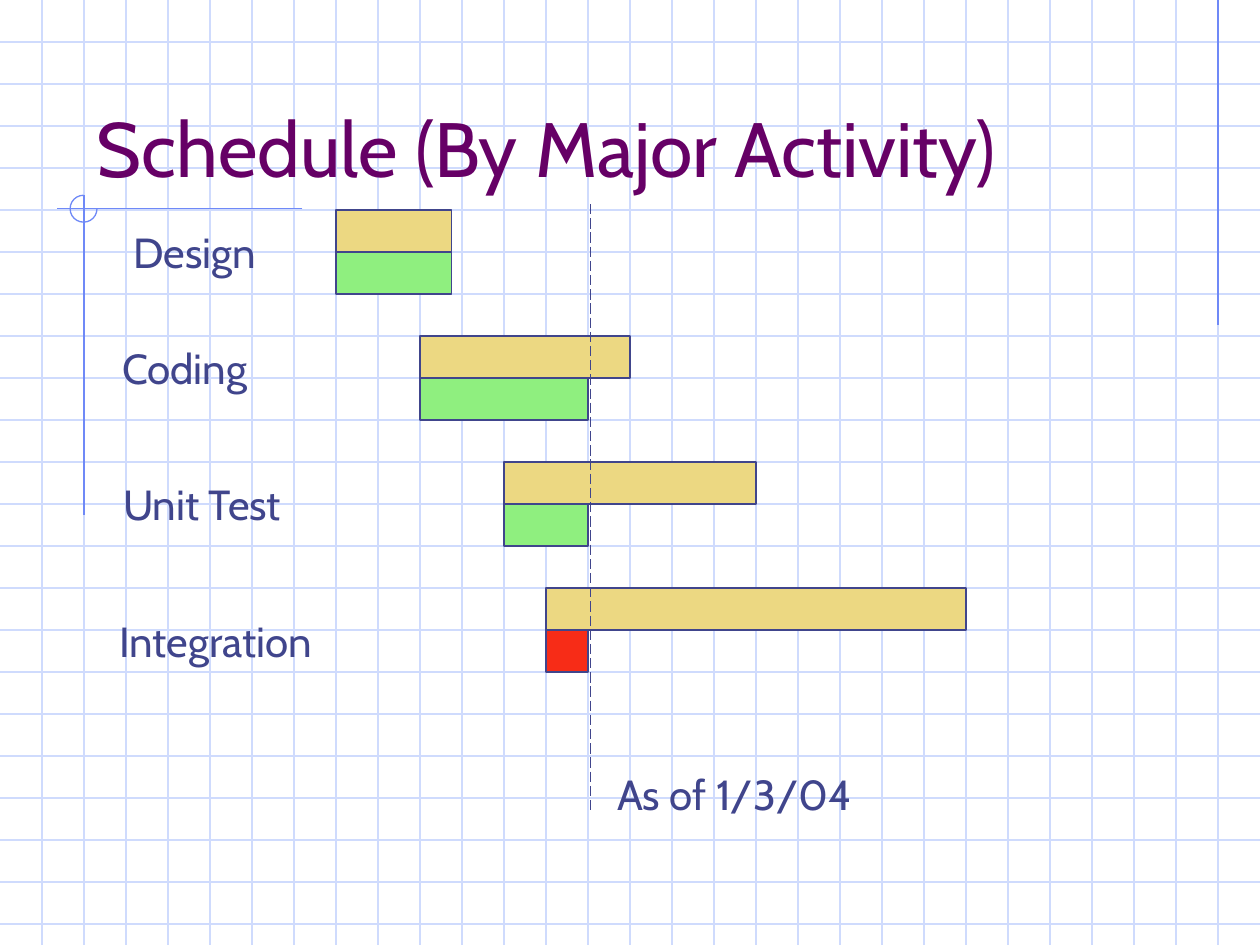
from dataclasses import dataclass

from lxml import etree
from pptx import Presentation
from pptx.dml.color import RGBColor
from pptx.enum.dml import MSO_LINE
from pptx.enum.shapes import MSO_CONNECTOR, MSO_SHAPE
from pptx.enum.text import MSO_ANCHOR, MSO_AUTO_SIZE, PP_ALIGN
from pptx.oxml.ns import qn
from pptx.util import Inches, Pt

ARC, RECT = MSO_SHAPE.ARC, MSO_SHAPE.RECTANGLE
STRAIGHT = MSO_CONNECTOR.STRAIGHT
DASH = MSO_LINE.LONG_DASH
FIT, FIXED = MSO_AUTO_SIZE.SHAPE_TO_FIT_TEXT, MSO_AUTO_SIZE.NONE
TOP, BOTTOM = MSO_ANCHOR.TOP, MSO_ANCHOR.BOTTOM


@dataclass(frozen=True)
class Theme:
    font: str = "Cabin"
    head: int = 44
    body: int = 24
    rule: float = 0.75
    title: str = "660066"
    ink: str = "40458C"
    grid: str = "CFDBFD"
    trim: str = "6F89F7"
    plan: str = "ECD882"
    good: str = "8FEF7F"
    late: str = "F72C17"


THEME = Theme()

# The slide is ruled in square cells; every length below counts cells.
COLS, ROWS = 30, 22.5
CELL = Inches(10) / COLS

TITLE = "Schedule (By Major Activity)"
TITLE_BOX = (2, 1, 25.5, 3.75)

# name, label place, first column and row, planned columns, done columns, done colour
TASKS = [
    ("Design", (2.88, 5.25, 3.87), 8, 5, 2.75, 2.75, THEME.good),
    ("Coding", (2.61, 8, 3.93), 10, 8, 5, 4, THEME.good),
    ("Unit Test", (2.64, 11.25, 4.77), 12, 11, 6, 2, THEME.good),
    ("Integration", (2.55, 14.5, 5.91), 13, 14, 10, 1, THEME.late),
]
LABEL_ROWS = 1.5

TODAY = "As of 1/3/04"
TODAY_BOX = (14.4, 18.15, 6.21, LABEL_ROWS)
TODAY_LINE = (14.06, 4.86, 14.06, 19.29)

TRIM_LINES = [(29, 0, 29, 7.74), (7.2, 4.97, 1.35, 4.97), (2, 4.65, 2, 12.27)]
RING_BOX = (1.67, 4.65, 0.64, 0.64)


def cells(*counts):
    return [round(n * CELL) for n in counts]


def color(code):
    return RGBColor.from_string(code)


def rule(slide, ends, tint, dash=None):
    line = slide.shapes.add_connector(STRAIGHT, *cells(*ends))
    line.line.color.rgb = color(tint)
    line.line.width = Pt(THEME.rule)
    if dash:
        line.line.dash_style = dash
    etree.SubElement(line._element.spPr, qn("a:effectLst"))


def shape(slide, kind, box, tint, fill=None):
    item = slide.shapes.add_shape(kind, *cells(*box))
    item.shadow.inherit = False
    item.line.color.rgb = color(tint)
    item.line.width = Pt(THEME.rule)
    if fill:
        item.fill.solid()
        item.fill.fore_color.rgb = color(fill)
    else:
        item.fill.background()
    return item


def write(item, text, size=THEME.body, tint=THEME.ink, anchor=TOP, wrap=False, fit=FIT):
    frame = item.text_frame
    frame.word_wrap = wrap
    frame.auto_size = fit
    frame.vertical_anchor = anchor
    line = frame.paragraphs[0]
    line.alignment = PP_ALIGN.LEFT
    run = line.add_run()
    run.text = text
    run.font.name = THEME.font
    run.font.size = Pt(size)
    run.font.color.rgb = color(tint)


def backdrop(slide):
    for row in range(1, int(ROWS) + 1):
        rule(slide, (0, row, COLS, row), THEME.grid)
    for col in range(1, COLS):
        rule(slide, (col, 0, col, ROWS), THEME.grid)
    for ends in TRIM_LINES:
        rule(slide, ends, THEME.trim)
    ring = shape(slide, ARC, RING_BOX, THEME.trim)
    ring.adjustments[0] = 0
    ring.adjustments[1] = 162  # 270 degrees, in units of 100,000


def heading(slide):
    title = slide.shapes.title
    title.left, title.top, title.width, title.height = cells(*TITLE_BOX)
    write(title, TITLE, size=THEME.head, tint=THEME.title, anchor=BOTTOM, wrap=True, fit=FIXED)
    slide.shapes._spTree.append(title._element)  # in front of the grid


def label(slide, text, box):
    write(slide.shapes.add_textbox(*cells(*box)), text)


def main():
    deck = Presentation()
    deck.slide_width, deck.slide_height = cells(COLS, ROWS)
    slide = deck.slides.add_slide(deck.slide_layouts[5])
    backdrop(slide)
    heading(slide)
    for name, place, col, row, plan, done, tint in TASKS:
        label(slide, name, (*place, LABEL_ROWS))
        shape(slide, RECT, (col, row, plan, 1), THEME.ink, THEME.plan)
        shape(slide, RECT, (col, row + 1, done, 1), THEME.ink, tint)
    rule(slide, TODAY_LINE, THEME.ink, DASH)
    label(slide, TODAY, TODAY_BOX)
    deck.save("out.pptx")


if __name__ == "__main__":
    main()
